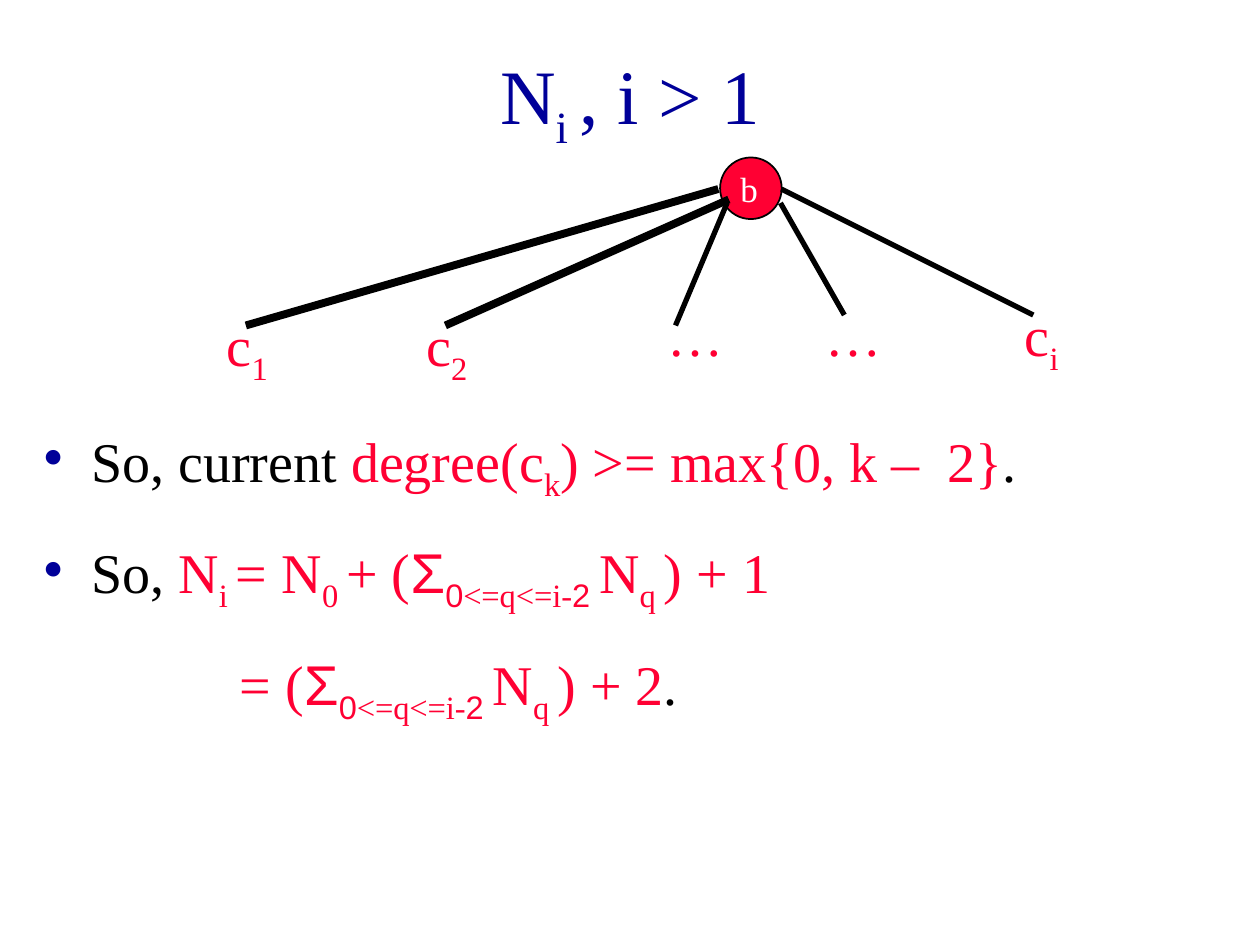
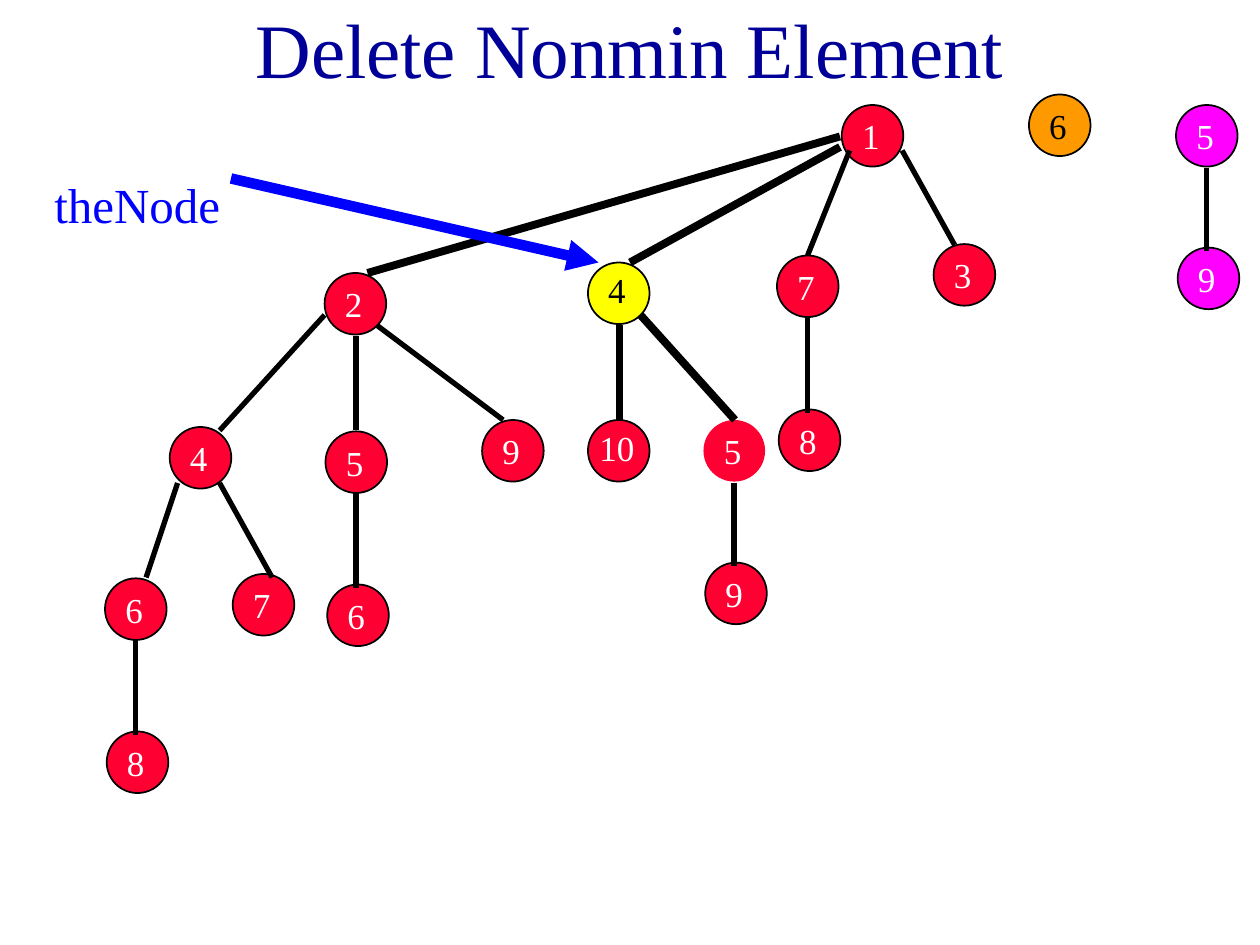
from dataclasses import dataclass
from typing import NamedTuple, Optional

from lxml import etree
from pptx import Presentation
from pptx import util as u
from pptx.dml.color import RGBColor
from pptx.enum import shapes, text
from pptx.oxml.ns import qn

Pt = u.Pt


# Theme: colours, fonts and sizes shared by the slides
@dataclass(frozen=True)
class Theme:
    navy: str = "000099"
    red: str = "FF0033"
    black: str = "000000"
    white: str = "FFFFFF"
    yellow: str = "FFFF00"
    orange: str = "FF9900"
    magenta: str = "FF00FF"
    blue: str = "0000FF"
    serif: str = "Times New Roman"
    sans: str = "Arial"
    title_size: float = 44
    body_size: float = 32
    label_size: float = 28
    node_size: float = 20
    node_diameter: float = 35.2
    thin: float = 3
    thick: float = 4.5
    arrow: float = 6


THEME = Theme()


class Span(NamedTuple):
    text: str
    color: str = THEME.red
    sub: bool = False
    font: str = THEME.serif


class Line(NamedTuple):
    spans: list[Span]
    indent: float
    bullet: bool


class Node(NamedTuple):
    label: str
    left: float
    top: float
    fill: str = THEME.red
    ink: str = THEME.white
    outlined: bool = True
    lift: float = 0


class Edge(NamedTuple):
    x1: float
    y1: float
    x2: float
    y2: float
    weight: float = THEME.thin


class Label(NamedTuple):
    spans: list[Span]
    left: float
    top: float


# Drawing functions
def add_span(para, words: str, *, size: float, color: str,
             font: str = THEME.serif, sub: bool = False) -> None:
    span = para.add_run()
    span.text = words
    span.font.size = Pt(size)
    span.font.name = font
    span.font.color.rgb = RGBColor.from_string(color)
    if sub:
        span._r.get_or_add_rPr().set("baseline", "-25000")


def add_spans(para, spans: list[Span], size: float) -> None:
    for span in spans:
        add_span(para, span.text, size=size, color=span.color, font=span.font, sub=span.sub)


def add_box(page, left: float, top: float, width: float, height: float):
    box = page.shapes.add_textbox(Pt(left), Pt(top), Pt(width), Pt(height))
    box.text_frame.word_wrap = True
    return box


def add_title(page, spans: list[Span], top: float, height: float) -> None:
    frame = add_box(page, 54, top, 612, height).text_frame
    frame.vertical_anchor = text.MSO_ANCHOR.MIDDLE
    para = frame.paragraphs[0]
    para.alignment = text.PP_ALIGN.CENTER
    add_spans(para, spans, THEME.title_size)


def add_label(page, label: Label, size: float, width: float, height: float) -> None:
    box = add_box(page, label.left, label.top, width, height)
    add_spans(box.text_frame.paragraphs[0], label.spans, size)


def add_bullet(para, hang: float) -> None:
    props = para._p.get_or_add_pPr()
    props.set("indent", str(-Pt(hang)))
    color = etree.SubElement(props, qn("a:buClr"))
    etree.SubElement(color, qn("a:srgbClr"), val=THEME.navy)
    etree.SubElement(props, qn("a:buChar"), char="•")


def add_body(page, lines: list[Line]) -> None:
    frame = add_box(page, 18, 240, 678, 216).text_frame
    for index, line in enumerate(lines):
        para = frame.add_paragraph() if index else frame.paragraphs[0]
        para._p.get_or_add_pPr().set("marL", str(Pt(line.indent)))
        if line.bullet:
            add_bullet(para, line.indent)
        if index:
            para.space_before = Pt(20)
        add_spans(para, line.spans, THEME.body_size)


def add_node(page, node: Node) -> None:
    size = Pt(THEME.node_diameter)
    circle = page.shapes.add_shape(shapes.MSO_SHAPE.OVAL, Pt(node.left), Pt(node.top), size, size)
    circle.shadow.inherit = False
    circle.fill.solid()
    circle.fill.fore_color.rgb = RGBColor.from_string(node.fill)
    if node.outlined:
        circle.line.color.rgb = RGBColor.from_string(THEME.black)
        circle.line.width = Pt(1)
    else:
        circle.line.fill.background()
    frame = circle.text_frame
    frame.word_wrap = False
    frame.margin_left = frame.margin_top = 0
    frame.margin_right = Pt(2)
    frame.margin_bottom = Pt(2 * node.lift)
    frame.vertical_anchor = text.MSO_ANCHOR.MIDDLE
    para = frame.paragraphs[0]
    para.alignment = text.PP_ALIGN.CENTER
    add_span(para, node.label, size=THEME.node_size, color=node.ink)


def add_edge(page, edge: Edge, color: str = THEME.black, head: Optional[str] = None) -> None:
    line = page.shapes.add_connector(shapes.MSO_CONNECTOR.STRAIGHT,
                                     Pt(edge.x1), Pt(edge.y1), Pt(edge.x2), Pt(edge.y2))
    line.line.color.rgb = RGBColor.from_string(color)
    line.line.width = Pt(edge.weight)
    if head:
        etree.SubElement(line.line._get_or_add_ln(), qn("a:tailEnd"), type=head)
    etree.SubElement(line._element.spPr, qn("a:effectLst"))


def add_tree(page, nodes: list[Node], edges: list[Edge]) -> None:
    for node in nodes:
        add_node(page, node)
    for edge in edges:
        add_edge(page, edge)


# Slide 1: size of a tree of degree i
SUM_TERM = [
    Span("Σ", font=THEME.sans),
    Span("0", sub=True, font=THEME.sans),
    Span("<=q<=i-", sub=True),
    Span("2 ", sub=True, font=THEME.sans),
    Span("N"),
    Span("q ", sub=True),
]
DEGREE_TITLE = [Span("N", THEME.navy), Span("i ", THEME.navy, sub=True),
                Span(", i > 1", THEME.navy)]
DEGREE_LINES = [
    Line([Span("So, current", THEME.black), Span(" degree(c"), Span("k", sub=True),
          Span(") >= max{0, k –  2}"), Span(".", THEME.black)], 27, True),
    Line([Span("So, ", THEME.black), Span("N"), Span("i ", sub=True), Span("= N"),
          Span("0 ", sub=True), Span("+ ("), *SUM_TERM, Span(") + 1")], 27, True),
    Line([Span("= ("), *SUM_TERM, Span(") + 2"), Span(".", THEME.black)], 112, False),
]
CHILD_LABELS = [
    Label([Span("c"), Span("1", sub=True)], 122.5, 174),
    Label([Span("c"), Span("2", sub=True)], 236.5, 174),
    Label([Span("…")], 374.5, 168),
    Label([Span("…")], 464.5, 168),
    Label([Span("c"), Span("i", sub=True)], 578.5, 168),
]
CHILD_EDGES = [
    Edge(410.5, 108, 140.5, 186, THEME.thick),
    Edge(416.5, 114, 254.5, 186, THEME.thick),
    Edge(415.5, 116, 386, 186),
    Edge(446, 116, 482.5, 180),
    Edge(446.5, 108, 590.5, 180),
]


def build_degree_slide(page) -> None:
    add_title(page, DEGREE_TITLE, 12, 90)
    add_body(page, DEGREE_LINES)
    add_tree(page, [Node("b", 411.5, 90)], CHILD_EDGES)
    for label in CHILD_LABELS:
        add_label(page, label, THEME.body_size, 66, 50)


# Slide 2: heap with the node to delete
HEAP_NODES = [
    Node("1", 481, 60),
    Node("7", 444, 146),
    Node("3", 533.5, 139.5),
    Node("8", 445, 234),
    Node("2", 185.5, 156),
    Node("5", 186, 246.5),
    Node("9", 275.5, 240),
    Node("6", 187, 334),
    Node("4", 97, 244),
    Node("6", 60, 330.5),
    Node("7", 133, 328),
    Node("8", 61, 418),
    Node("10", 336, 240, lift=2),
    Node("4", 336, 150, THEME.yellow, THEME.black, lift=2),
    Node("5", 402, 240, outlined=False),
    Node("9", 403, 321.5),
    Node("6", 588, 54, THEME.orange, THEME.black),
    Node("5", 672, 60, THEME.magenta),
    Node("9", 673, 141.5, THEME.magenta),
]
HEAP_EDGES = [
    # below 1
    Edge(480, 78, 210, 156, THEME.thick),
    Edge(480, 84, 360, 150, THEME.thick),
    Edge(485.5, 86, 461.5, 146),
    Edge(515.5, 86, 545.5, 140),
    Edge(461.5, 182, 461.5, 236),
    # below 2
    Edge(185.5, 180, 125.5, 246),
    Edge(203.5, 192, 203.5, 246),
    Edge(215.5, 186, 287.5, 240),
    Edge(203.5, 282, 203.5, 336),
    Edge(101.5, 276, 83.5, 330),
    Edge(125.5, 276, 155.5, 330),
    Edge(77.5, 366, 77.5, 420),
    # below 4
    Edge(354, 186, 354, 240, THEME.thick),
    Edge(366, 180, 420, 240, THEME.thick),
    Edge(419.5, 276, 419.5, 323.5),
    # below the separate 5
    Edge(689.5, 96, 689.5, 143.5),
]


def build_delete_slide(page) -> None:
    add_title(page, [Span("Delete Nonmin Element", THEME.navy)], 0, 54)
    add_tree(page, HEAP_NODES, HEAP_EDGES)
    add_edge(page, Edge(132, 102, 342, 150, THEME.arrow), THEME.blue, "triangle")
    add_label(page, Label([Span("theNode", THEME.blue)], 24, 96), THEME.label_size, 138, 41)


def main() -> None:
    deck = Presentation()
    deck.slide_width, deck.slide_height = Pt(720), Pt(540)
    for build in (build_degree_slide, build_delete_slide):
        build(deck.slides.add_slide(deck.slide_layouts[6]))
    deck.save("out.pptx")


if __name__ == "__main__":
    main()
